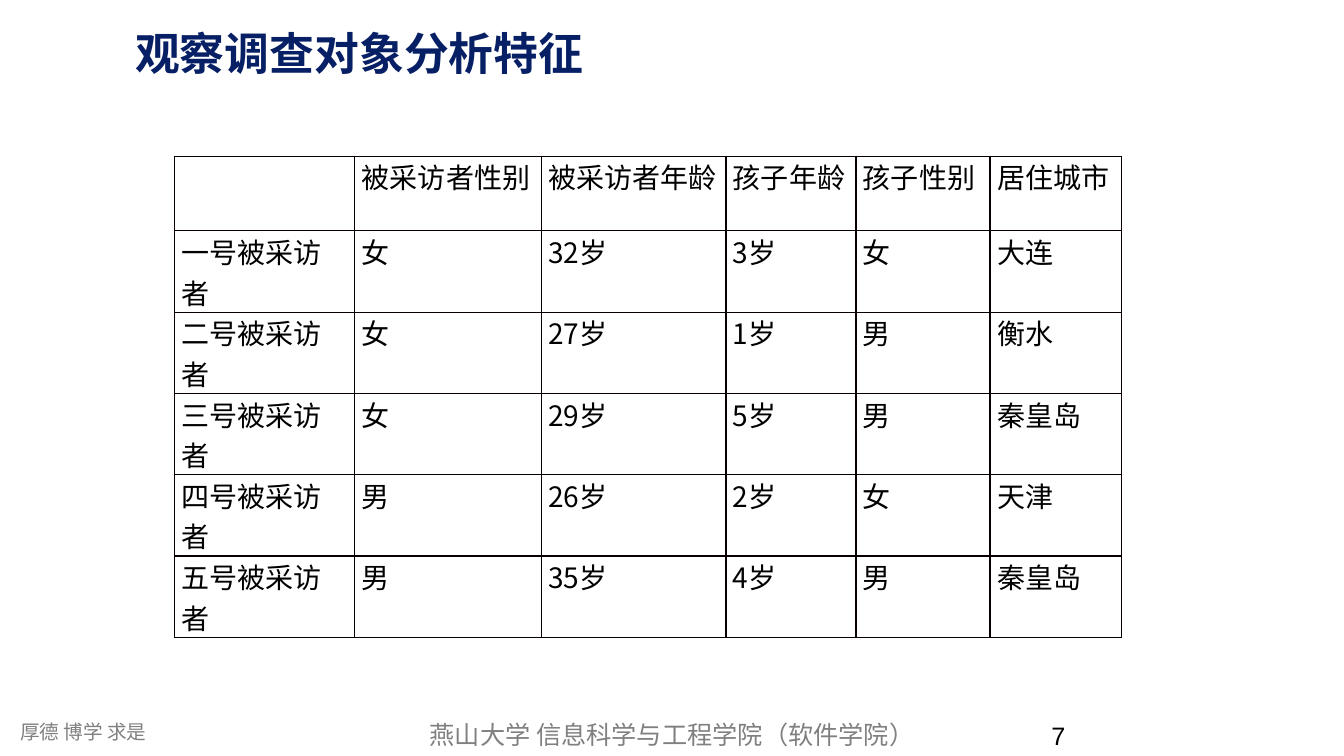
import pptx
import pptx.util
import pptx.dml.color
import pptx.enum.text
import pptx.oxml
import pptx.oxml.ns
from dataclasses import dataclass
from lxml import etree

Inches = pptx.util.Inches
ALIGN = pptx.enum.text.PP_ALIGN

TITLE = "观察调查对象分析特征"
MOTTO = "厚德 博学 求是"
SCHOOL = "燕山大学 信息科学与工程学院（软件学院）"
PAGE = "7"
INTERVIEWEES = [
    ("", "被采访者性别", "被采访者年龄", "孩子年龄", "孩子性别", "居住城市"),
    ("一号被采访者", "女", "32岁", "3岁", "女", "大连"),
    ("二号被采访者", "女", "27岁", "1岁", "男", "衡水"),
    ("三号被采访者", "女", "29岁", "5岁", "男", "秦皇岛"),
    ("四号被采访者", "男", "26岁", "2岁", "女", "天津"),
    ("五号被采访者", "男", "35岁", "4岁", "男", "秦皇岛"),
]
COL_WIDTHS = (1.79, 1.85, 1.83, 1.29, 1.33, 1.3)
ROW_HEIGHT = 0.74


@dataclass(frozen=True)
class Theme:
    navy: str = "071F65"
    gray: str = "808080"
    black: str = "000000"
    border: str = "080000"
    background: str = "FFFFFF"
    title_font: str = "Montserrat"
    latin_font: str = "Arial"
    cjk_font: str = "Noto Sans CJK SC"
    title_size: int = 32
    table_size: int = 20
    footer_size: int = 18
    motto_size: int = 14
    border_width: int = 1


theme = Theme()


def rgb(color):
    return pptx.dml.color.RGBColor.from_string(color)


def set_text(tf, text, font, size, color, bold=False, align=ALIGN.LEFT, spacing=None):
    tf.text = text
    p = tf.paragraphs[0]
    p.alignment = align
    if spacing:
        p.line_spacing = spacing
    for r in p.runs:
        r.font.name = font
        r.font.size = pptx.util.Pt(size)
        r.font.bold = bold
        r.font.color.rgb = rgb(color)
        ea = etree.SubElement(r.font._element, pptx.oxml.ns.qn("a:ea"))
        ea.set("typeface", theme.cjk_font)


def add_text(s, box, *args, **kwargs):
    tf = s.shapes.add_textbox(*map(Inches, box)).text_frame
    tf.word_wrap = True
    set_text(tf, *args, **kwargs)


def set_borders(cell):
    tcPr = cell._tc.get_or_add_tcPr()
    width = pptx.util.Pt(theme.border_width)
    for i, side in enumerate(("lnL", "lnR", "lnT", "lnB")):
        tcPr.insert(i, pptx.oxml.parse_xml(
            f'<a:{side} {pptx.oxml.ns.nsdecls("a")} w="{width}"><a:solidFill>'
            f'<a:srgbClr val="{theme.border}"/></a:solidFill></a:{side}>'))


def add_table(s):
    box = (1.73, 1.55, sum(COL_WIDTHS), ROW_HEIGHT * len(INTERVIEWEES))
    table = s.shapes.add_table(
        len(INTERVIEWEES), len(COL_WIDTHS), *map(Inches, box)).table
    table.first_row = table.horz_banding = False
    for col, width in zip(table.columns, COL_WIDTHS):
        col.width = Inches(width)
    for row, values in zip(table.rows, INTERVIEWEES):
        row.height = Inches(ROW_HEIGHT)
        for cell, value in zip(row.cells, values):
            cell.margin_left = cell.margin_right = Inches(0.07)
            cell.margin_top = cell.margin_bottom = 0
            cell.fill.background()
            set_borders(cell)
            set_text(cell.text_frame, value, theme.cjk_font, theme.table_size, theme.black)


def main():
    prs = pptx.Presentation()
    prs.slide_width, prs.slide_height = Inches(13.33), Inches(7.5)
    s = prs.slides.add_slide(prs.slide_layouts[5])
    s.background.fill.solid()
    s.background.fill.fore_color.rgb = rgb(theme.background)

    title = s.shapes.title
    title.left, title.top, title.width, title.height = map(Inches, (1.24, 0.09, 12.09, 0.76))
    tf = title.text_frame
    tf.auto_size = pptx.enum.text.MSO_AUTO_SIZE.NONE
    tf.vertical_anchor = pptx.enum.text.MSO_ANCHOR.BOTTOM
    set_text(tf, TITLE, theme.title_font, theme.title_size, theme.navy, bold=True, spacing=0.9)

    add_table(s)
    add_text(s, (0.1, 7.02, 2.02, 0.38), MOTTO, theme.latin_font,
             theme.motto_size, theme.gray, spacing=1.3)
    add_text(s, (3.48, 7.09, 6.37, 0.4), SCHOOL, theme.cjk_font,
             theme.footer_size, theme.gray, align=ALIGN.CENTER)
    add_text(s, (10.33, 7.1, 3, 0.4), PAGE, theme.latin_font,
             theme.footer_size, theme.black)
    prs.save("out.pptx")


if __name__ == "__main__":
    main()
